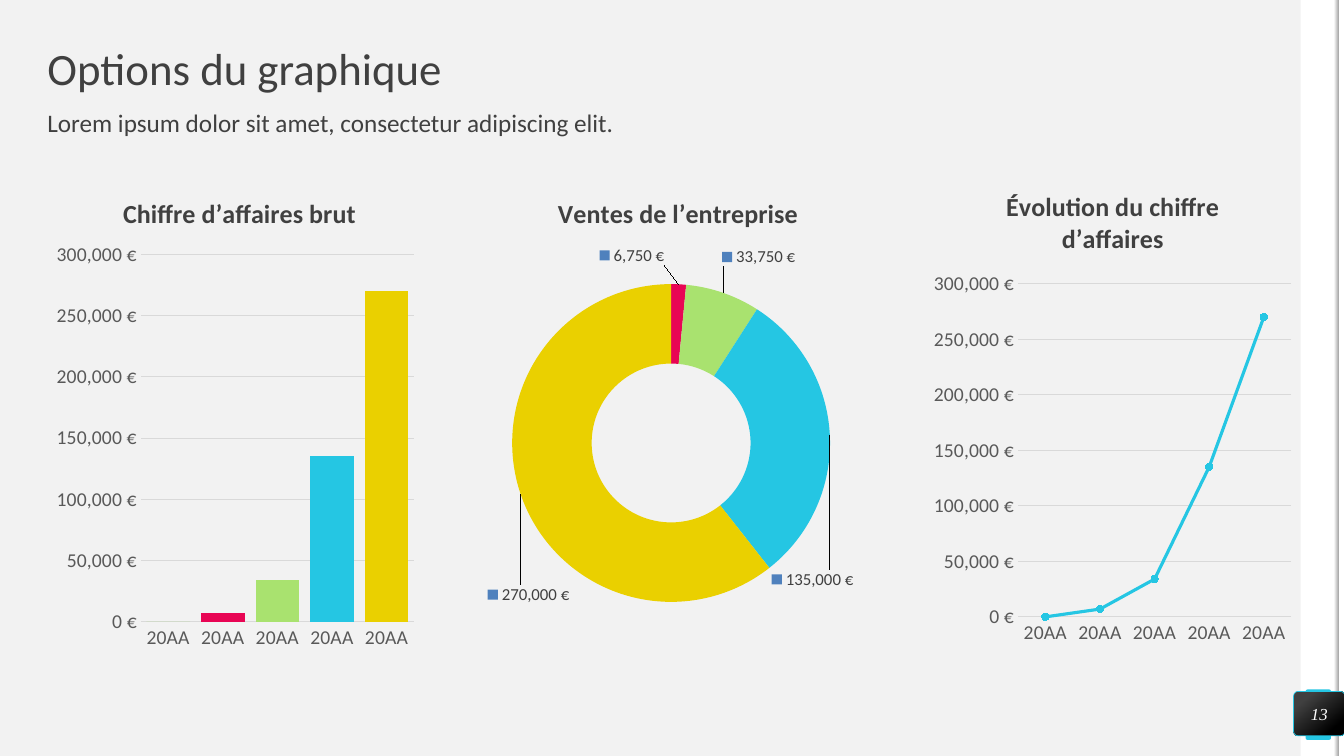
from dataclasses import dataclass

from lxml import etree
from pptx import Presentation
from pptx.chart.data import CategoryChartData
from pptx.dml.color import RGBColor
from pptx.enum.chart import XL_CHART_TYPE as CT, XL_MARKER_STYLE as MARKER, XL_TICK_MARK as TICK
from pptx.enum.shapes import MSO_SHAPE as SHAPE
from pptx.enum.text import MSO_ANCHOR as ANCHOR, PP_ALIGN as ALIGN
from pptx.oxml.ns import qn
from pptx.util import Pt

PX = 9144  # EMU per px, 100 px to the inch
EURO = '#,##0\\ [$€-40C]'


@dataclass(frozen=True)
class Theme:
    back: str = "F2F2F2"
    white: str = "FFFFFF"
    black: str = "000000"
    text: str = "404040"
    axis: str = "595959"
    grid: str = "D9D9D9"
    edge: str = "A6A6A6"
    pink: str = "E80554"
    green: str = "A9E26F"
    blue: str = "25C6E3"
    yellow: str = "EAD000"
    font: str = "Calibri"
    number_font: str = "Times New Roman"
    title: float = 32
    body: float = 18
    chart_title: float = 18.6
    axis_size: float = 14
    label: float = 12


def rgb(color):
    return RGBColor.from_string(color)


def style_font(font, size, color, name, bold=False, italic=False):
    font.size, font.name, font.bold, font.italic = Pt(size), name, bold, italic
    font.color.rgb = rgb(color)


def write(tf, text, align=ALIGN.LEFT, anchor=ANCHOR.TOP, spacing=1.0, **fmt):
    tf.word_wrap = True
    tf.vertical_anchor = anchor
    tf.margin_left = tf.margin_top = tf.margin_right = tf.margin_bottom = 0
    p = tf.paragraphs[0]
    p.alignment, p.line_spacing = align, spacing
    r = p.add_run()
    r.text = text
    style_font(r.font, **fmt)


def set_layout(parent, index, edge=True, inner=False, **values):
    """Put a manual layout, in fractions of the chart, into a chart element."""
    for old in parent.findall(qn("c:layout")):
        parent.remove(old)
    layout = etree.Element(qn("c:layout"))
    manual = etree.SubElement(layout, qn("c:manualLayout"))
    if inner:
        etree.SubElement(manual, qn("c:layoutTarget")).set("val", "inner")
    if edge:
        for mode in ("xMode", "yMode"):
            etree.SubElement(manual, qn(f"c:{mode}")).set("val", "edge")
    for key, value in values.items():
        etree.SubElement(manual, qn(f"c:{key}")).set("val", str(value))
    parent.insert(index, layout)


class Deck:
    def __init__(self, theme):
        self.t = theme
        self.prs = Presentation()
        self.prs.slide_width, self.prs.slide_height = 1333 * PX, 750 * PX
        self.s = self.prs.slides.add_slide(self.prs.slide_layouts[6])
        self.s.background.fill.solid()
        self.s.background.fill.fore_color.rgb = rgb(theme.back)

    def text(self, box, text, **fmt):
        tb = self.s.shapes.add_textbox(*(v * PX for v in box))
        write(tb.text_frame, text, **fmt)

    def shape(self, box, *colors, angle=0, stops=(0, 1), line=None, radius=None):
        kind = SHAPE.RECTANGLE if radius is None else SHAPE.ROUNDED_RECTANGLE
        sp = self.s.shapes.add_shape(kind, *(v * PX for v in box))
        sp.shadow.inherit = False
        if radius is not None:
            sp.adjustments[0] = radius
        if len(colors) == 1:
            sp.fill.solid()
            sp.fill.fore_color.rgb = rgb(colors[0])
        else:
            sp.fill.gradient()
            sp.fill.gradient_angle = angle
            for stop, color, position in zip(sp.fill.gradient_stops, colors, stops):
                stop.color.rgb, stop.position = rgb(color), position
        if line:
            sp.line.color.rgb, sp.line.width = rgb(line), Pt(0.5)
        else:
            sp.line.fill.background()
        return sp

    def chart(self, kind, left, title, title_at, plot_at, cats, values):
        t = self.t
        data = CategoryChartData(number_format=EURO)
        data.categories = cats
        data.add_series("Series 1", values)
        box = (left, 165, 371, 486)
        chart = self.s.shapes.add_chart(kind, *(v * PX for v in box), data).chart
        style_font(chart.font, 10, t.black, t.font)
        chart.has_legend = False
        chart.has_title = True
        tf = chart.chart_title.text_frame
        tf.text = title
        for p in tf.paragraphs:
            p.alignment = ALIGN.CENTER
            style_font(p.runs[0].font, t.chart_title, t.text, t.font, bold=True)
        set_layout(chart.chart_title._element, 1, x=title_at[0], y=title_at[1])
        plot_area = chart._chartSpace.chart.plotArea
        set_layout(plot_area, 0, inner=True, **dict(zip("xywh", plot_at)))
        chart.plots[0].vary_by_categories = False
        return chart

    def axes(self, chart):
        t = self.t
        for axis in (chart.category_axis, chart.value_axis):
            axis.major_tick_mark = axis.minor_tick_mark = TICK.NONE
            style_font(axis.tick_labels.font, t.axis_size, t.axis, t.font)
        line = chart.category_axis.format.line
        line.color.rgb, line.width = rgb(t.grid), Pt(0.75)
        va = chart.value_axis
        va.format.line.fill.background()
        va.minimum_scale, va.maximum_scale, va.major_unit = 0, 300000, 50000
        va.tick_labels.number_format, va.tick_labels.number_format_is_linked = EURO, False
        grid = va.major_gridlines.format.line
        grid.color.rgb, grid.width = rgb(t.grid), Pt(0.75)

    def color_points(self, series, colors):
        for i, color in enumerate(colors):
            fill = series.points[i].format.fill
            fill.solid()
            fill.fore_color.rgb = rgb(color)

    def point_labels(self, series, offsets):
        """Label points with value and colour key, moved from the ring."""
        for i in offsets:
            style_font(series.points[i].data_label.font, self.t.label, self.t.text, self.t.font)
        series.data_labels.show_value = False
        for label in series._element.iter(qn("c:dLbl")):
            x, y = offsets[int(label.find(qn("c:idx")).get("val"))]
            set_layout(label, 1, edge=False, x=x, y=y)
            label.find(qn("c:showLegendKey")).set("val", "1")


def main():
    t = Theme()
    d = Deck(t)

    # Right-hand band
    d.shape((1290, 0, 39, 750), t.white)
    d.shape((1295, 684, 25, 50), t.blue, radius=0.07)
    d.shape((1328, 0, 5, 750), t.white)
    d.shape((1323, 0, 5, 750), t.white, t.edge)

    # Headings
    d.text((47, 47, 1239, 47), "Options du graphique", anchor=ANCHOR.MIDDLE,
           spacing=0.9, size=t.title, color=t.text, name=t.font)
    d.text((47, 110, 1240, 39), "Lorem ipsum dolor sit amet, consectetur adipiscing elit.",
           spacing=0.9, size=t.body, color=t.text, name=t.font)

    # Charts
    years = ["20AA"] * 5
    revenue = [0, 7000, 34000, 135000, 270000]
    palette = [t.green, t.pink, t.green, t.blue, t.yellow]

    columns = d.chart(CT.COLUMN_CLUSTERED, 47, "Chiffre d’affaires brut", (0.19, 0.05),
                      (0.25, 0.18, 0.73, 0.75), years, revenue)
    d.axes(columns)
    columns.plots[0].gap_width = 25
    d.color_points(columns.plots[0].series[0], palette)

    ring = d.chart(CT.DOUGHNUT, 482, "Ventes de l’entreprise", (0.18, 0.05),
                   (0.07, 0.24, 0.85, 0.65), list("12345"), [0, 6750, 33750, 135000, 270000])
    sales = ring.plots[0].series[0]
    d.color_points(sales, palette)
    d.point_labels(sales, {1: (-0.12, -0.14), 2: (0.13, -0.15), 3: (0.06, 0.29), 4: (-0.08, 0.23)})

    trend = d.chart(CT.LINE_MARKERS_STACKED, 917, "Évolution du chiffre\nd’affaires", (0.21, 0.04),
                    (0.25, 0.24, 0.73, 0.68), years, revenue)
    d.axes(trend)
    growth = trend.plots[0].series[0]
    growth.smooth = False
    growth.format.line.color.rgb, growth.format.line.width = rgb(t.blue), Pt(2.25)
    growth.marker.style, growth.marker.size = MARKER.CIRCLE, 5
    growth.marker.format.fill.solid()
    growth.marker.format.fill.fore_color.rgb = rgb(t.blue)
    growth.marker.format.line.color.rgb = rgb(t.blue)

    # Page number
    badge = d.shape((1283, 686, 51, 44), t.text, t.black, angle=310, stops=(0.2, 0.82),
                    line=t.blue, radius=0.1)
    write(badge.text_frame, "13", align=ALIGN.CENTER, anchor=ANCHOR.MIDDLE,
          size=t.label, color=t.white, name=t.number_font, italic=True)

    d.prs.save("out.pptx")


if __name__ == "__main__":
    main()
